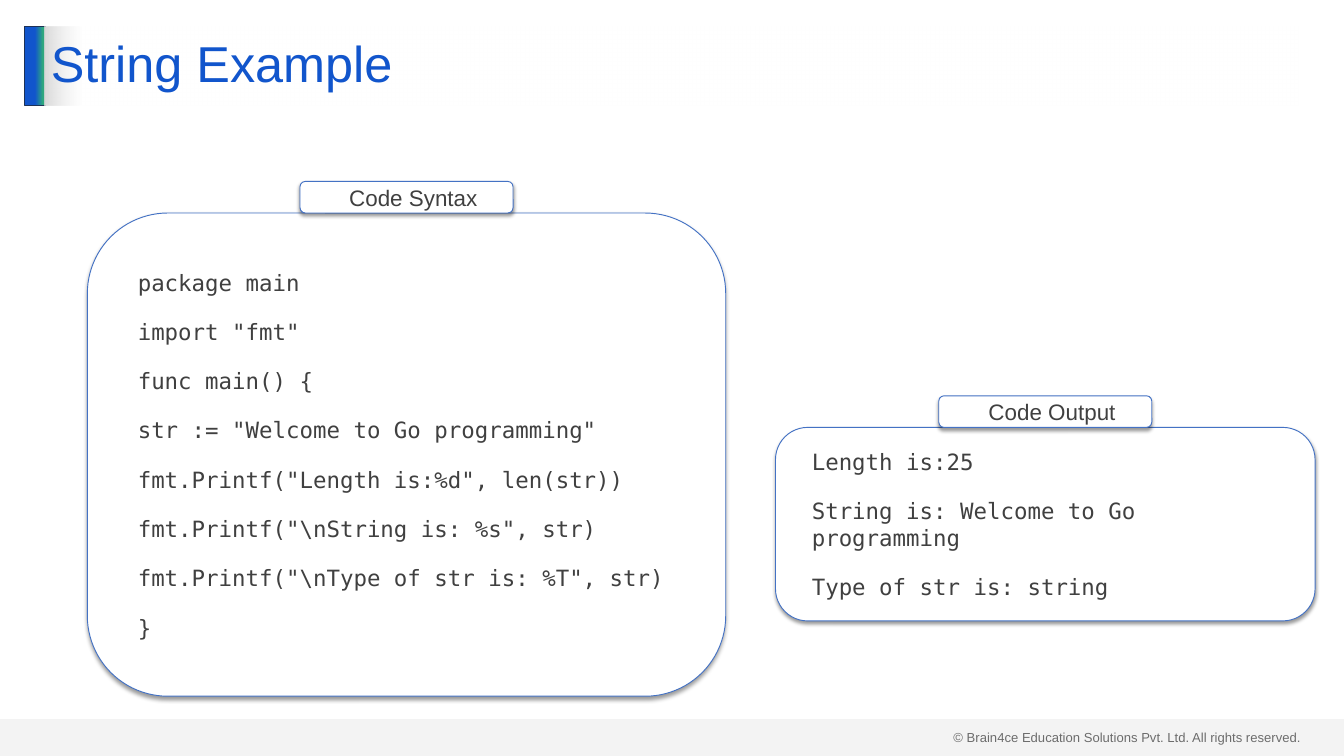
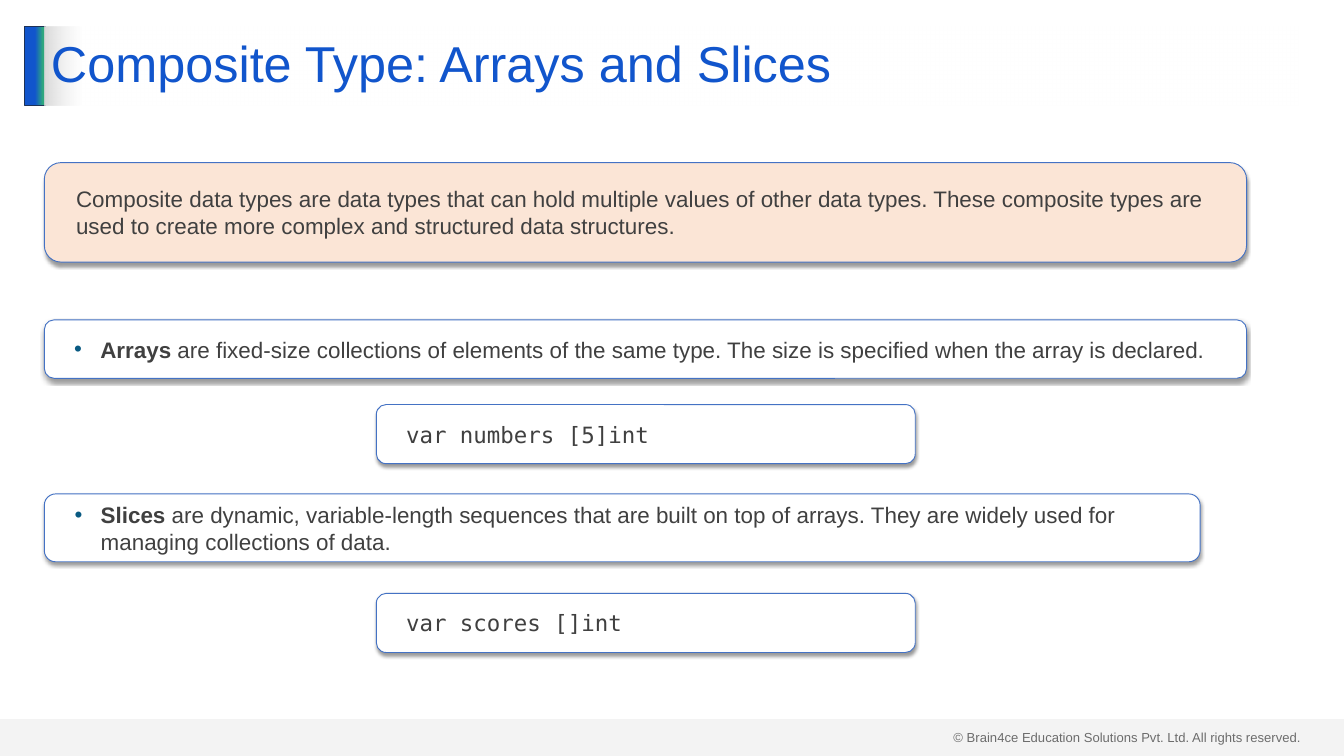
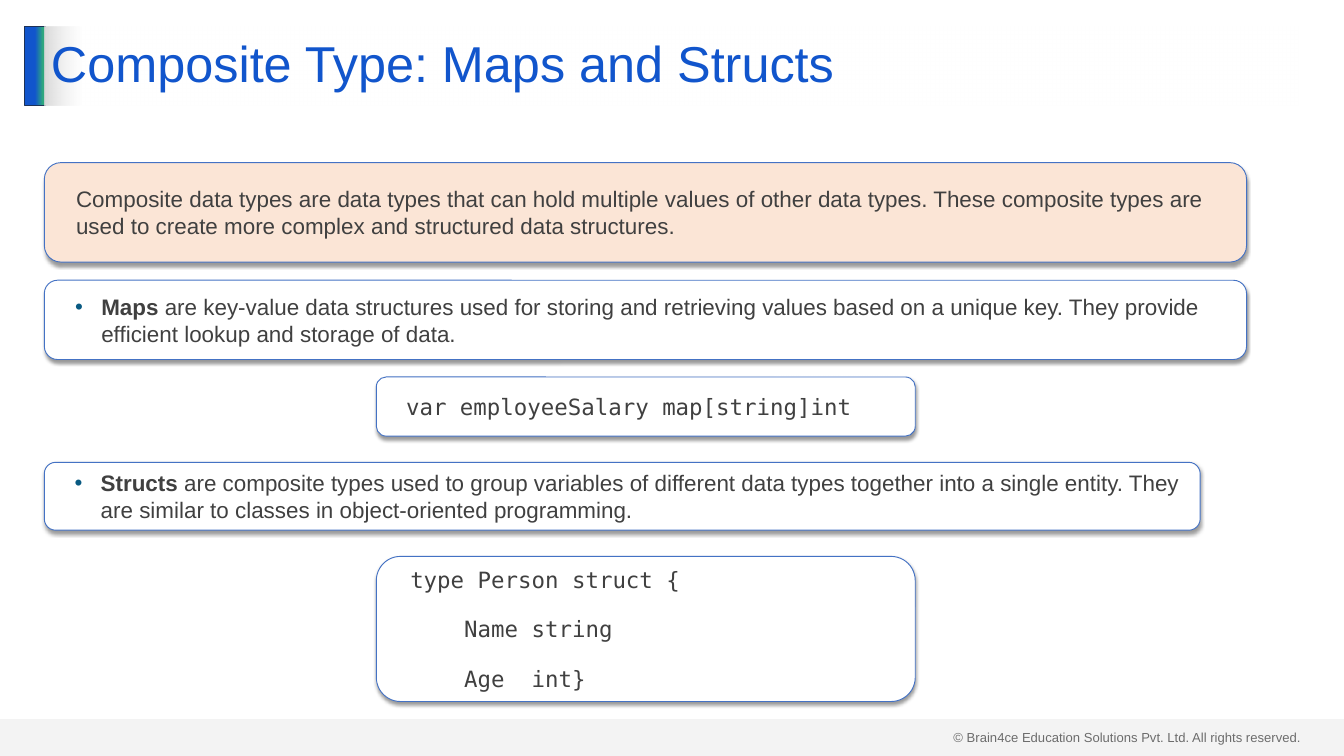
from dataclasses import dataclass

import lxml.etree
import pptx
import pptx.dml.color
import pptx.enum.shapes
import pptx.enum.text
import pptx.oxml.ns
import pptx.util
from pptx.util import Inches

SHAPE = pptx.enum.shapes.MSO_SHAPE
ALIGN = pptx.enum.text.PP_ALIGN
qn = pptx.oxml.ns.qn


@dataclass(frozen=True)
class Theme:
    title_blue: str = "1155CC"
    band_green: str = "2EA87D"
    band_line: str = "1E3256"
    grey: str = "D9D9D9"
    white: str = "FFFFFF"
    black: str = "000000"
    ink: str = "404040"
    outline: str = "4472C4"
    peach: str = "FBE5D6"
    bullet: str = "095A82"
    sans: str = "Arial"
    mono: str = "DejaVu Sans Mono"
    title_size: int = 54
    body_size: int = 24
    footer_size: int = 14
    paragraph_gap: int = 24


THEME = Theme()


@dataclass(frozen=True)
class Area:
    left: float
    top: float
    width: float
    height: float

    def lengths(self) -> tuple:
        return tuple(Inches(n) for n in (self.left, self.top, self.width, self.height))


@dataclass(frozen=True)
class Stop:
    percent: int
    color: str
    opacity: int = 100


@dataclass(frozen=True)
class Panel:
    """A rounded box; a lead word makes its text a bullet."""
    area: Area
    lines: tuple
    font: str = THEME.sans
    fill: str = THEME.white
    lead: str = ""
    align: ALIGN = ALIGN.LEFT


# Shared geometry
LABEL_WIDTH, LABEL_HEIGHT = 3.17, 0.47
MARGIN_LEFT, WIDE, NARROW = 0.66, 17.89, 17.2
CODE_LEFT, CODE_WIDTH, CODE_HEIGHT = 5.6, 8.02, 0.88
TITLE_TOP, TITLE_HEIGHT = 0.39, 1.18
FOOTER = "© Brain4ce Education Solutions Pvt. Ltd. All rights reserved."


# Drawing helpers
def rgb(color: str) -> pptx.dml.color.RGBColor:
    return pptx.dml.color.RGBColor.from_string(color)


def add_color(parent, color: str, opacity: int = 100) -> None:
    node = lxml.etree.SubElement(parent, qn("a:srgbClr"), val=color)
    if opacity < 100:
        lxml.etree.SubElement(node, qn("a:alpha"), val=str(opacity * 1000))


def add_box(page, kind: SHAPE, area: Area, fill: str = "", line: str = ""):
    box = page.shapes.add_shape(kind, *area.lengths())
    box.shadow.inherit = False
    if fill:
        box.fill.solid()
        box.fill.fore_color.rgb = rgb(fill)
    if line:
        box.line.color.rgb = rgb(line)
        box.line.width = pptx.util.Pt(1)
    else:
        box.line.fill.background()
    return box


def set_gradient(box, stops: tuple) -> None:
    box.fill.gradient()
    box.fill.gradient_angle = 0
    stop_list = box._element.spPr.find(".//" + qn("a:gsLst"))
    for node in list(stop_list):
        stop_list.remove(node)
    for stop in stops:
        node = lxml.etree.SubElement(stop_list, qn("a:gs"), pos=str(stop.percent * 1000))
        add_color(node, stop.color, stop.opacity)


def add_shadow(box) -> None:
    effects = box._element.spPr.find(qn("a:effectLst"))
    shadow = lxml.etree.SubElement(
        effects, qn("a:outerShdw"), blurRad=str(pptx.util.Pt(4)), dist=str(pptx.util.Pt(3)),
        dir="5400000", algn="t", rotWithShape="0")
    add_color(shadow, THEME.black, 40)


def set_font(paragraph, name: str, size: int, color: str) -> None:
    paragraph.font.name = name
    paragraph.font.size = pptx.util.Pt(size)
    paragraph.font.color.rgb = rgb(color)


def set_indent(paragraph, left: float, first: float, bullet: bool) -> None:
    properties = paragraph._p.get_or_add_pPr()
    properties.set("marL", str(Inches(left)))
    properties.set("indent", str(Inches(first)))
    if bullet:
        add_color(lxml.etree.SubElement(properties, qn("a:buClr")), THEME.bullet)
        lxml.etree.SubElement(properties, qn("a:buFont"), typeface=THEME.sans)
        lxml.etree.SubElement(properties, qn("a:buChar"), char="•")


def draw_panel(page, panel: Panel) -> None:
    box = add_box(page, SHAPE.ROUNDED_RECTANGLE, panel.area, panel.fill, THEME.outline)
    add_shadow(box)
    frame = box.text_frame
    frame.word_wrap = True
    frame.vertical_anchor = pptx.enum.text.MSO_ANCHOR.MIDDLE
    frame.margin_left = frame.margin_right = Inches(0.2)
    frame.margin_top = frame.margin_bottom = Inches(0.1)
    for index, line in enumerate(panel.lines):
        paragraph = frame.add_paragraph() if index else frame.paragraphs[0]
        paragraph.alignment = panel.align
        if index < len(panel.lines) - 1:
            paragraph.space_after = pptx.util.Pt(THEME.paragraph_gap)
        if panel.lead:
            set_indent(paragraph, 0.59, -0.39, bullet=True)
            span = paragraph.add_run()
            span.text = panel.lead
            span.font.bold = True
        else:
            set_indent(paragraph, 0.2, 0, bullet=False)
        paragraph.add_run().text = line
        set_font(paragraph, panel.font, THEME.body_size, THEME.ink)


def draw_frame(page, title: str) -> None:
    """Footer, accent band and title."""
    footer = page.shapes.add_textbox(*Area(14.09, 10.8, 5.41, 0.34).lengths())
    footer.text_frame.word_wrap = True
    paragraph = footer.text_frame.paragraphs[0]
    paragraph.text = FOOTER
    set_font(paragraph, THEME.sans, THEME.footer_size, THEME.ink)

    accent = add_box(page, SHAPE.RECTANGLE, Area(0.37, TITLE_TOP, 0.3, TITLE_HEIGHT),
                     line=THEME.band_line)
    set_gradient(accent, (Stop(51, THEME.title_blue), Stop(90, THEME.band_green),
                          Stop(100, THEME.band_green)))

    strip = add_box(page, SHAPE.RECTANGLE, Area(0, 10.7, 20, 0.55), THEME.grey)
    strip_color = strip._element.spPr.find(qn("a:solidFill")).find(qn("a:srgbClr"))
    lxml.etree.SubElement(strip_color, qn("a:alpha"), val="29000")

    heading = add_box(page, SHAPE.RECTANGLE, Area(MARGIN_LEFT, TITLE_TOP, 18.67, TITLE_HEIGHT))
    set_gradient(heading, (Stop(0, THEME.grey), Stop(0, THEME.grey), Stop(3, THEME.white, 50)))
    heading.text_frame.word_wrap = True
    heading.text_frame.vertical_anchor = pptx.enum.text.MSO_ANCHOR.MIDDLE
    paragraph = heading.text_frame.paragraphs[0]
    paragraph.text = title
    paragraph.alignment = ALIGN.LEFT
    paragraph.line_spacing = 0.9
    set_font(paragraph, THEME.sans, THEME.title_size, THEME.title_blue)


# Panel kinds
def labelled_code(label: str, area: Area, lines: tuple) -> tuple:
    """A code box with its label centred on the top edge."""
    tab = Area(area.left + (area.width - LABEL_WIDTH) / 2, area.top - LABEL_HEIGHT,
               LABEL_WIDTH, LABEL_HEIGHT)
    return (Panel(area, lines, THEME.mono), Panel(tab, (label,), align=ALIGN.CENTER))


def definition(top: float, width: float, height: float, lead: str, text: str) -> Panel:
    return Panel(Area(MARGIN_LEFT, top, width, height), (text,), lead=lead)


def code(top: float, *lines: str, height: float = CODE_HEIGHT) -> Panel:
    return Panel(Area(CODE_LEFT, top, CODE_WIDTH, height), lines, THEME.mono)


# Slide content
COMPOSITE_INTRO = Panel(
    Area(MARGIN_LEFT, 2.42, WIDE, 1.48),
    ("Composite data types are data types that can hold multiple values of other data types. "
     "These composite types are used to create more complex and structured data structures.",),
    fill=THEME.peach)

SLIDES = {
    "String Example": (
        *labelled_code("Code Syntax", Area(1.3, 3.17, 9.5, 7.19), (
            "package main",
            'import "fmt"',
            "func main() {",
            'str := "Welcome to Go programming"',
            'fmt.Printf("Length is:%d", len(str))',
            r'fmt.Printf("\nString is: %s", str)',
            r'fmt.Printf("\nType of str is: %T", str)',
            "}")),
        *labelled_code("Code Output", Area(11.54, 6.36, 8.03, 2.88), (
            "Length is:25",
            "String is: Welcome to Go programming",
            "Type of str is: string")),
    ),
    "Composite Type: Arrays and Slices": (
        COMPOSITE_INTRO,
        definition(4.76, WIDE, 0.87, "Arrays",
                   " are fixed-size collections of elements of the same type. "
                   "The size is specified when the array is declared."),
        code(6.02, "var numbers [5]int"),
        definition(7.35, NARROW, 1.01, "Slices",
                   " are dynamic, variable-length sequences that are built on top of arrays. "
                   "They are widely used for managing collections of data."),
        code(8.83, "var scores []int"),
    ),
    "Composite Type: Maps and Structs": (
        COMPOSITE_INTRO,
        definition(4.17, WIDE, 1.18, "Maps",
                   " are key-value data structures used for storing and retrieving values based "
                   "on a unique key. They provide efficient lookup and storage of data."),
        code(5.61, "var employeeSalary map[string]int"),
        definition(6.88, NARROW, 1.01, "Structs",
                   " are composite types used to group variables of different data types together "
                   "into a single entity. They are similar to classes in object-oriented "
                   "programming."),
        code(8.28, "type Person struct {", "    Name string", "    Age  int}", height=2.16),
    ),
}


def main() -> None:
    deck = pptx.Presentation()
    deck.slide_width, deck.slide_height = Inches(20), Inches(11.25)
    for title, panels in SLIDES.items():
        page = deck.slides.add_slide(deck.slide_layouts[6])
        draw_frame(page, title)
        for panel in panels:
            draw_panel(page, panel)
    deck.save("out.pptx")


if __name__ == "__main__":
    main()
